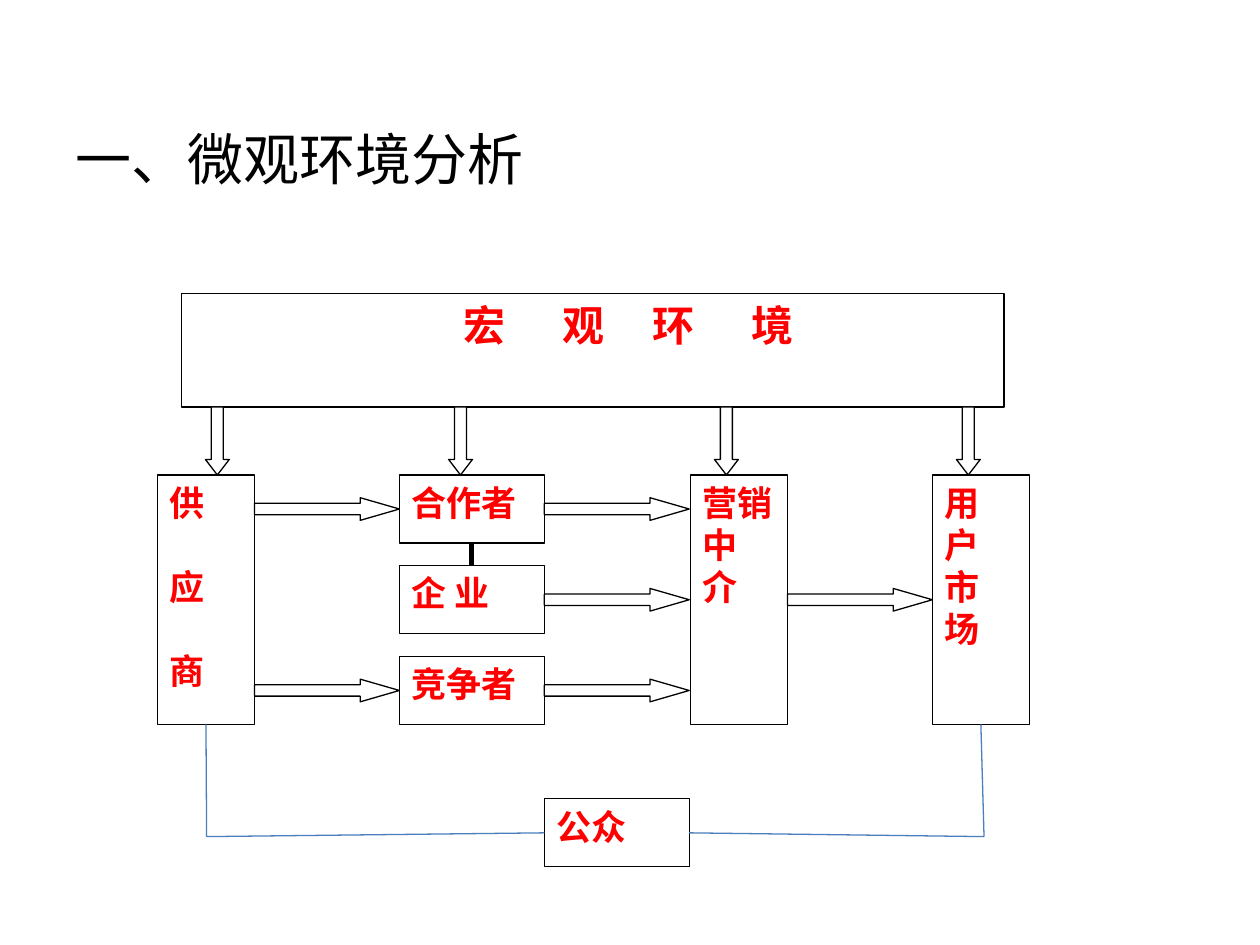
from lxml.etree import SubElement
from pptx import Presentation
from pptx.dml.color import RGBColor
from pptx.enum.shapes import MSO_CONNECTOR, MSO_SHAPE
from pptx.enum.text import MSO_ANCHOR, PP_ALIGN
from pptx.oxml.ns import qn
from pptx.util import Inches, Pt

COLORS = {"ink": "000000", "paper": "FFFFFF", "label": "FF0000", "link": "4B7EBC"}
TITLE = "一、微观环境分析"
TITLE_FONT = {"name": "Calibri", "size": Pt(32)}
LABEL_FONT = {"name": "Times New Roman", "size": Pt(20), "bold": True}
HEADER_FONT = {**LABEL_FONT, "size": Pt(24)}

ROW_TOP, ROW_PITCH, ROW_H = 3.77, 0.72, 0.54
ROWS = [ROW_TOP + i * ROW_PITCH for i in range(3)]
TALL_W, TALL_H = 0.77, 2 * ROW_PITCH + ROW_H
WIDE_W = 1.15
SUPPLIER_X, FIRM_X, AGENT_X, MARKET_X = 1.25, 3.17, 5.48, 7.4
PUBLIC_X, PUBLIC_Y = 4.32, 6.34
HEADER = (1.44, 2.33, 6.53, 0.9)
HEADER_TEXT = "\t宏\t观\t环\t境"
HEADER_TABS = [2.14, 2.93, 3.64, 4.43]
ARROW_W, ARROW_H = 0.19, 0.18

BOXES = {
    "supplier": (["供", "应", "商"], SUPPLIER_X, ROW_TOP, TALL_W, TALL_H, 24),
    "partner": (["合作者"], FIRM_X, ROWS[0], WIDE_W, ROW_H, 0),
    "company": (["企 业"], FIRM_X, ROWS[1], WIDE_W, ROW_H, 0),
    "rival": (["竞争者"], FIRM_X, ROWS[2], WIDE_W, ROW_H, 0),
    "agent": (["营销", "中", "介"], AGENT_X, ROW_TOP, TALL_W, TALL_H, 0),
    "market": (["用", "户", "市", "场"], MARKET_X, ROW_TOP, TALL_W, TALL_H, 0),
    "public": (["公众"], PUBLIC_X, PUBLIC_Y, WIDE_W, ROW_H, 0),
}
DOWN_ARROWS = [1.63, 3.56, 5.67, 7.59]
RIGHT_ARROWS = [
    (SUPPLIER_X + TALL_W, (0, 2)),
    (FIRM_X + WIDE_W, (0, 1, 2)),
    (AGENT_X + TALL_W, (1,)),
]
LEFT_CORNER, RIGHT_CORNER = (1.64, 6.64), (7.81, 6.64)
LINKS = [
    (("partner", 2), ("company", 0), "ink", 3),
    (("supplier", 2), LEFT_CORNER, "link", 0.75),
    (LEFT_CORNER, ("public", 1), "link", 0.75),
    (("public", 3), RIGHT_CORNER, "link", 0.75),
    (RIGHT_CORNER, ("market", 2), "link", 0.75),
]


def rgb(name):
    return RGBColor.from_string(COLORS[name])


def add_run(p, text, fmt, color):
    r = p.add_run()
    r.text = text
    for key, value in fmt.items():
        setattr(r.font, key, value)
    r.font.color.rgb = rgb(color)


def add_outlined(s, kind, x, y, w, h):
    sp = s.shapes.add_shape(kind, *map(Inches, (x, y, w, h)))
    sp.shadow.inherit = False
    sp.fill.solid()
    sp.fill.fore_color.rgb = rgb("paper")
    sp.line.color.rgb = rgb("ink")
    sp.line.width = Pt(0.75)
    sp.text_frame.word_wrap = True
    sp.text_frame.vertical_anchor = MSO_ANCHOR.TOP
    return sp


def add_arrow(s, kind, x, y, w, h, head):
    sp = add_outlined(s, kind, x, y, w, h)
    sp.adjustments[0], sp.adjustments[1] = 0.5, head


def add_title(s):
    tf = s.shapes.add_textbox(*map(Inches, (0.5, 0.94, 9, 0.63))).text_frame
    tf.word_wrap = True
    add_run(tf.paragraphs[0], TITLE, TITLE_FONT, "ink")


def add_header(s):
    p = add_outlined(s, MSO_SHAPE.RECTANGLE, *HEADER).text_frame.paragraphs[0]
    p.alignment = PP_ALIGN.LEFT
    tabs = SubElement(p._p.get_or_add_pPr(), qn("a:tabLst"))
    for pos in HEADER_TABS:
        SubElement(tabs, qn("a:tab"), pos=str(Inches(pos)), algn="l")
    add_run(p, HEADER_TEXT, HEADER_FONT, "label")


def add_box(s, lines, x, y, w, h, gap):
    sp = add_outlined(s, MSO_SHAPE.RECTANGLE, x, y, w, h)
    tf = sp.text_frame
    for i, line in enumerate(lines):
        p = tf.add_paragraph() if i else tf.paragraphs[0]
        p.alignment = PP_ALIGN.JUSTIFY
        p.space_before = Pt(gap if i else 0)
        add_run(p, line, LABEL_FONT, "label")
    return sp


def add_link(s, boxes, start, end, color, width):
    points = [(0, 0) if pt[0] in boxes else pt for pt in (start, end)]
    cx = s.shapes.add_connector(
        MSO_CONNECTOR.STRAIGHT, *(Inches(v) for pt in points for v in pt))
    for (box, site), connect in ((start, cx.begin_connect), (end, cx.end_connect)):
        if box in boxes:
            connect(boxes[box], site)
    cx.line.color.rgb = rgb(color)
    cx.line.width = Pt(width)
    SubElement(cx._element.spPr, qn("a:effectLst"))


def main():
    prs = Presentation()
    prs.slide_width, prs.slide_height = Inches(10), Inches(7.5)
    s = prs.slides.add_slide(prs.slide_layouts[6])
    add_title(s)
    add_header(s)
    boxes = {name: add_box(s, *box) for name, box in BOXES.items()}
    header_bottom = HEADER[1] + HEADER[3]
    for x in DOWN_ARROWS:
        add_arrow(s, MSO_SHAPE.DOWN_ARROW, x, header_bottom,
                  ARROW_W, ROW_TOP - header_bottom, 0.65)
    for x, rows in RIGHT_ARROWS:
        for row in rows:
            y = ROWS[row] + (ROW_H - ARROW_H) / 2
            add_arrow(s, MSO_SHAPE.RIGHT_ARROW, x, y, WIDE_W, ARROW_H, 1.73)
    for link in LINKS:
        add_link(s, boxes, *link)
    prs.save("out.pptx")


if __name__ == "__main__":
    main()
